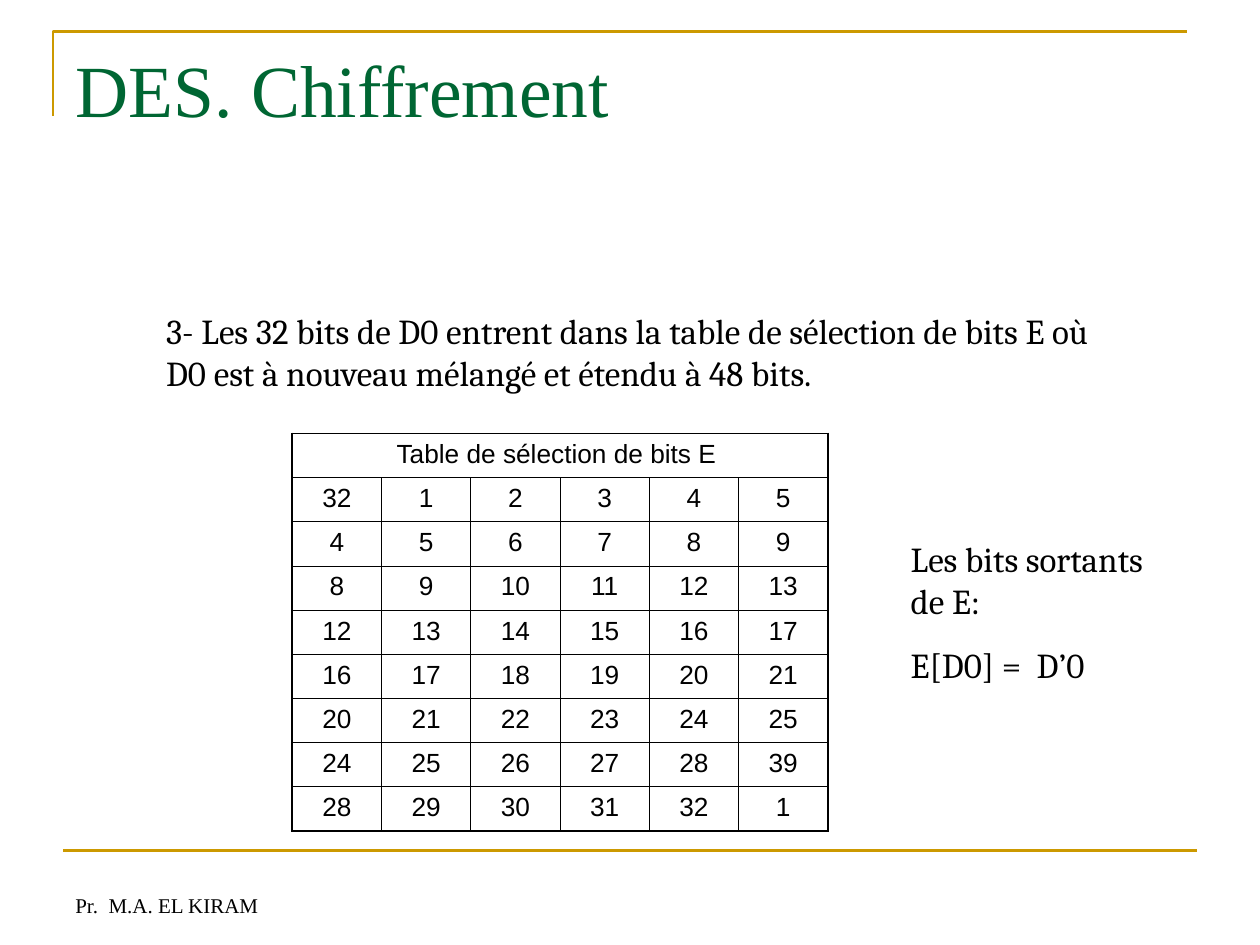
from lxml import etree
from pptx import Presentation
from pptx.dml.color import RGBColor
from pptx.enum import shapes, text
from pptx.oxml import ns
from pptx.util import Inches, Pt

GOLD, GREEN, BLACK = "CC9900", "006633", "000000"


def color(hex_value):
    return RGBColor.from_string(hex_value)


def add_run(paragraph, words, font_name, size, hex_value=BLACK):
    run = paragraph.add_run()
    run.text = words
    run.font.name = font_name
    run.font.size = Pt(size)
    run.font.color.rgb = color(hex_value)


presentation = Presentation()
presentation.slide_width = Inches(10)
presentation.slide_height = Inches(7.5)
slide = presentation.slides.add_slide(presentation.slide_layouts[5])

# Gold corner at the top left
builder = slide.shapes.build_freeform(Inches(0.42), Inches(0.92))
builder.add_line_segments(
    [(Inches(0.42), Inches(0.25)), (Inches(9.42), Inches(0.25))], close=False)
corner = builder.convert_to_shape()
corner.shadow.inherit = False
corner.fill.background()

# Gold rule above the footer
rule = slide.shapes.add_connector(
    shapes.MSO_CONNECTOR.STRAIGHT,
    Inches(0.5), Inches(6.75), Inches(9.5), Inches(6.75))
etree.SubElement(rule._element.spPr, ns.qn("a:effectLst"))
for shape in (corner, rule):
    shape.line.color.rgb = color(GOLD)
    shape.line.width = Pt(1.5)

# Title
title = slide.shapes.title
title.left, title.top = Inches(0.5), Inches(0.3)
title.width, title.height = Inches(9), Inches(1.25)
title.text_frame.vertical_anchor = text.MSO_ANCHOR.TOP
title.text_frame.auto_size = text.MSO_AUTO_SIZE.NONE
title.text_frame.paragraphs[0].alignment = text.PP_ALIGN.LEFT
add_run(title.text_frame.paragraphs[0], "DES. Chiffrement",
        "Times New Roman", 42, GREEN)

# Footer, explanation and result
TOP, BOTTOM = text.MSO_ANCHOR.TOP, text.MSO_ANCHOR.BOTTOM
text_boxes = [
    ((0.5, 6.83, 2.33, 0.5), BOTTOM, "Times New Roman", 12,
     ["Pr.  M.A. EL KIRAM"]),
    ((1.22, 2.41, 7.56, 1.1), TOP, "Cambria", 20,
     ["3- Les 32 bits de D0 entrent dans la table de sélection de bits E où "
      "D0 est à nouveau mélangé et étendu à 48 bits."]),
    ((7.13, 4.22, 2.2, 1.28), TOP, "Cambria", 20,
     ["Les bits sortants de E:", "E[D0] =  D’0"]),
]
for place, anchor, font_name, size, lines in text_boxes:
    frame = slide.shapes.add_textbox(*map(Inches, place)).text_frame
    frame.word_wrap = True
    frame.vertical_anchor = anchor
    for index, line in enumerate(lines):
        paragraph = frame.paragraphs[0] if index == 0 else frame.add_paragraph()
        if index:
            paragraph.space_before = Pt(12.5)
        add_run(paragraph, line, font_name, size)

# Selection table: each row starts four bits after the row above
bits = [[(4 * row + column - 1) % 32 + 1 for column in range(6)]
        for row in range(8)]
bits[6][5] = 39  # value as printed on the slide
rows = [["Table de sélection de bits E "] + [""] * 5] + bits
row_count, column_count = len(rows), len(rows[0])

table = slide.shapes.add_table(
    row_count, column_count,
    Inches(2.32), Inches(3.44), Inches(4.25), Inches(3.15)).table
table.first_row = table.horz_banding = False
for table_row in table.rows:
    table_row.height = Inches(0.35)
table.cell(0, 0).merge(table.cell(0, column_count - 1))

for r, values in enumerate(rows):
    for c, value in enumerate(values):
        cell = table.cell(r, c)
        # Thick outer frame, thin inner lines
        outer_sides = {"lnL": c == 0 or r == 0,
                       "lnR": c == column_count - 1 or r == 0,
                       "lnT": r == 0, "lnB": r == row_count - 1}
        properties = cell._tc.get_or_add_tcPr()
        for side, outer in outer_sides.items():
            border = etree.SubElement(properties, ns.qn("a:" + side),
                                      w=str(Pt(1.08 if outer else 0.45)))
            fill = etree.SubElement(border, ns.qn("a:solidFill"))
            etree.SubElement(fill, ns.qn("a:srgbClr"), val=BLACK)
        cell.fill.background()
        if value != "":
            paragraph = cell.text_frame.paragraphs[0]
            paragraph.alignment = text.PP_ALIGN.CENTER
            add_run(paragraph, str(value), "Arial", 15)

presentation.save("out.pptx")
